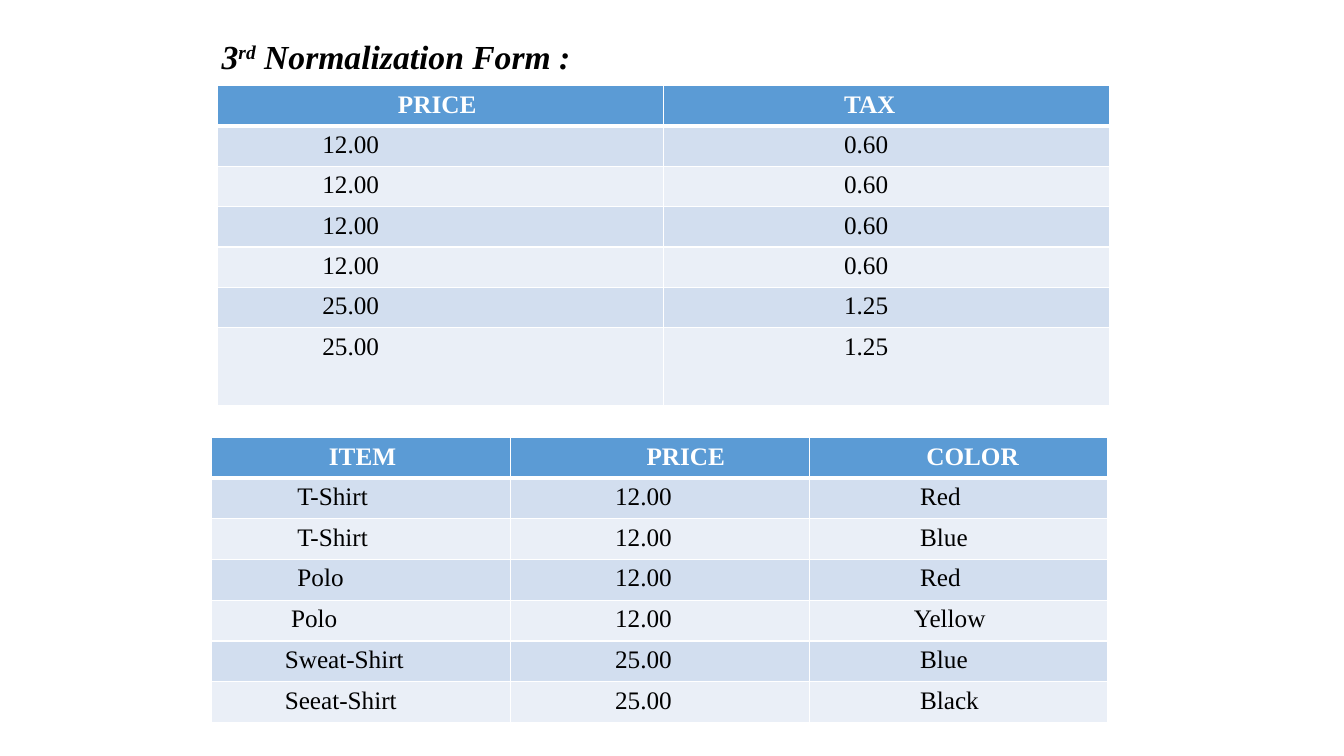
from lxml import etree
from pptx import Presentation
from pptx.dml.color import RGBColor
from pptx.enum.text import MSO_AUTO_SIZE
from pptx.oxml.ns import qn
from pptx.util import Inches, Pt

# Content
TITLE = [("3", False), ("rd", True), (" Normalization Form :", False)]

# Indents are counted in steps: one for the header, then one per body row
TAX_TABLE = {
    "box": (2.16, 0.85, 8.85, 3.17),
    "row_heights": [0.4] * 6 + [0.77],
    "columns": [
        ("PRICE", 27, ["12.00"] * 4 + ["25.00"] * 2, [15] * 6),
        ("TAX", 27, ["0.60"] * 4 + ["1.25"] * 2, [27] * 6),
    ],
}
ITEM_TABLE = {
    "box": (2.1, 4.34, 8.89, 2.83),
    "row_heights": [0.4] + [2.43 / 6] * 6,
    "columns": [
        ("ITEM", 17,
         ["T-Shirt", "T-Shirt", "Polo", "Polo", "Sweat-Shirt", "Seeat-Shirt"],
         [12, 12, 12, 11, 10, 10]),
        ("PRICE", 20, ["12.00"] * 4 + ["25.00"] * 2, [15] * 6),
        ("COLOR", 17, ["Red", "Blue", "Red", "Yellow", "Blue", "Black"],
         [16, 16, 16, 15, 16, 16]),
    ],
}

THEME = {
    "font": "Times New Roman",
    "title_size": 24,
    "cell_size": 18,
    "text": "000000",
    "header_text": "FFFFFF",
    "header_fill": "5B9BD5",
    "bands": ["D2DEEF", "EAEFF7"],
    "border": "FFFFFF",
    "border_width": 1,
    "header_rule": 3,
}
INDENT_STEP = Inches(1) / 16
CELL_MARGIN = Inches(0.1)


def style_run(run, size, color, bold=False, italic=False):
    font = run.font
    font.name, font.size = THEME["font"], Pt(size)
    font.bold, font.italic = bold, italic
    font.color.rgb = RGBColor.from_string(color)


def set_borders(cell, bottom_width):
    properties = cell._tc.get_or_add_tcPr()
    for side in ("L", "R", "T", "B"):
        width = bottom_width if side == "B" else THEME["border_width"]
        line = etree.SubElement(properties, qn("a:ln" + side), w=str(Pt(width)))
        fill = etree.SubElement(line, qn("a:solidFill"))
        etree.SubElement(fill, qn("a:srgbClr"), val=THEME["border"])


def fill_cell(cell, text, indent, row):
    header = row == 0
    set_borders(cell, THEME["header_rule" if header else "border_width"])
    cell.fill.solid()
    color = THEME["header_fill"] if header else THEME["bands"][(row - 1) % 2]
    cell.fill.fore_color.rgb = RGBColor.from_string(color)
    cell.margin_left = int(CELL_MARGIN + indent * INDENT_STEP)
    run = cell.text_frame.paragraphs[0].add_run()
    run.text = text
    style_run(run, THEME["cell_size"],
              THEME["header_text" if header else "text"], bold=header)


def add_data_table(slide, spec):
    columns, heights = spec["columns"], spec["row_heights"]
    table = slide.shapes.add_table(
        len(heights), len(columns), *map(Inches, spec["box"])).table
    for row, height in zip(table.rows, heights):
        row.height = Inches(height)
    for c, (heading, heading_indent, values, indents) in enumerate(columns):
        table.columns[c].width = Inches(spec["box"][2] / len(columns))
        entries = zip([heading] + values, [heading_indent] + indents)
        for r, (text, indent) in enumerate(entries):
            fill_cell(table.cell(r, c), text, indent, r)


prs = Presentation()
prs.slide_width, prs.slide_height = Inches(13.33), Inches(7.5)
slide = prs.slides.add_slide(prs.slide_layouts[6])

# Tables
for spec in (TAX_TABLE, ITEM_TABLE):
    add_data_table(slide, spec)

# Title
frame = slide.shapes.add_textbox(
    Inches(2.1), Inches(0.31), Inches(3.72), Inches(0.5)).text_frame
frame.word_wrap = False
frame.auto_size = MSO_AUTO_SIZE.SHAPE_TO_FIT_TEXT
for text, raised in TITLE:
    run = frame.paragraphs[0].add_run()
    run.text = text
    style_run(run, THEME["title_size"], THEME["text"], bold=True, italic=True)
    if raised:
        run._r.get_or_add_rPr().set("baseline", "30000")

prs.save("out.pptx")
